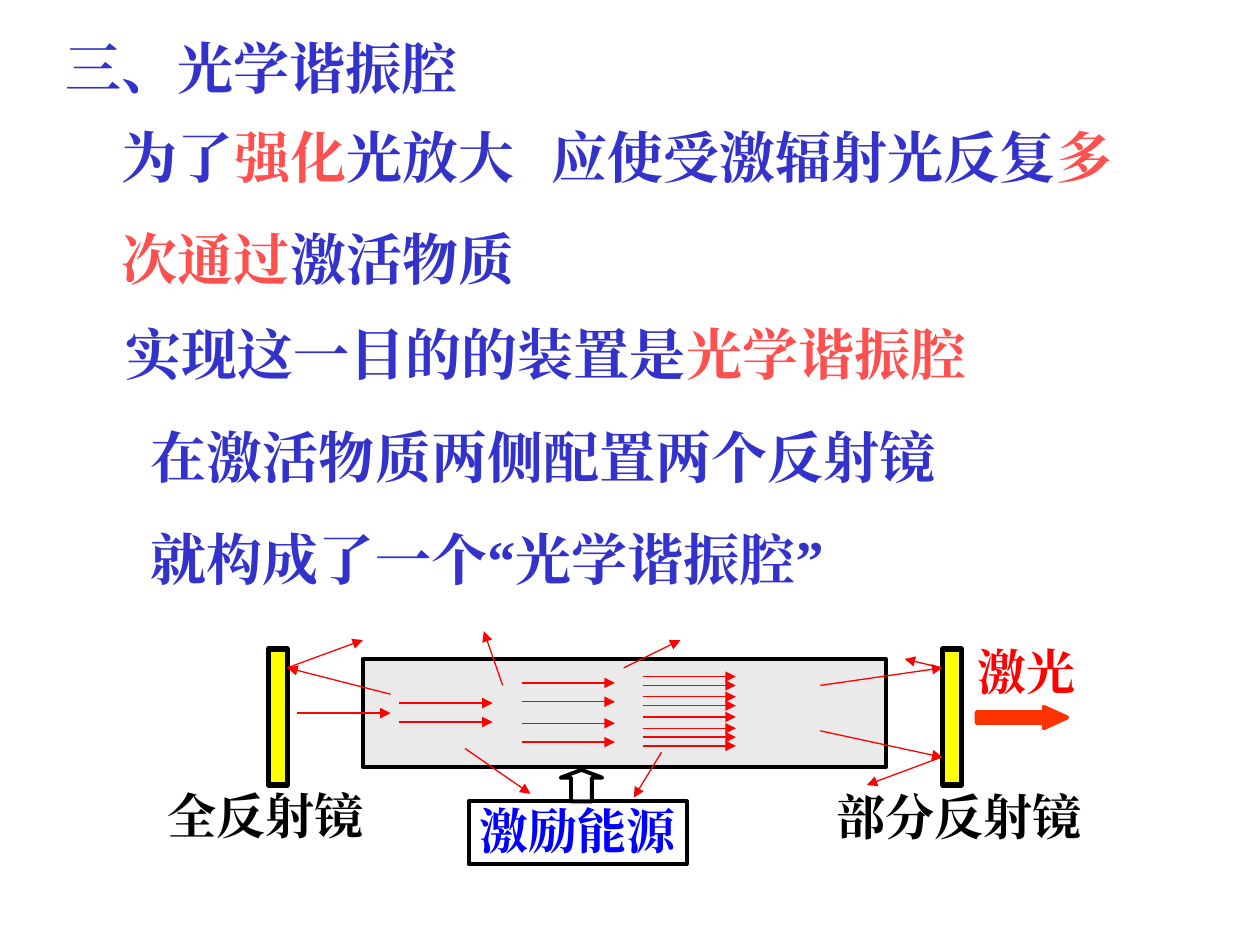
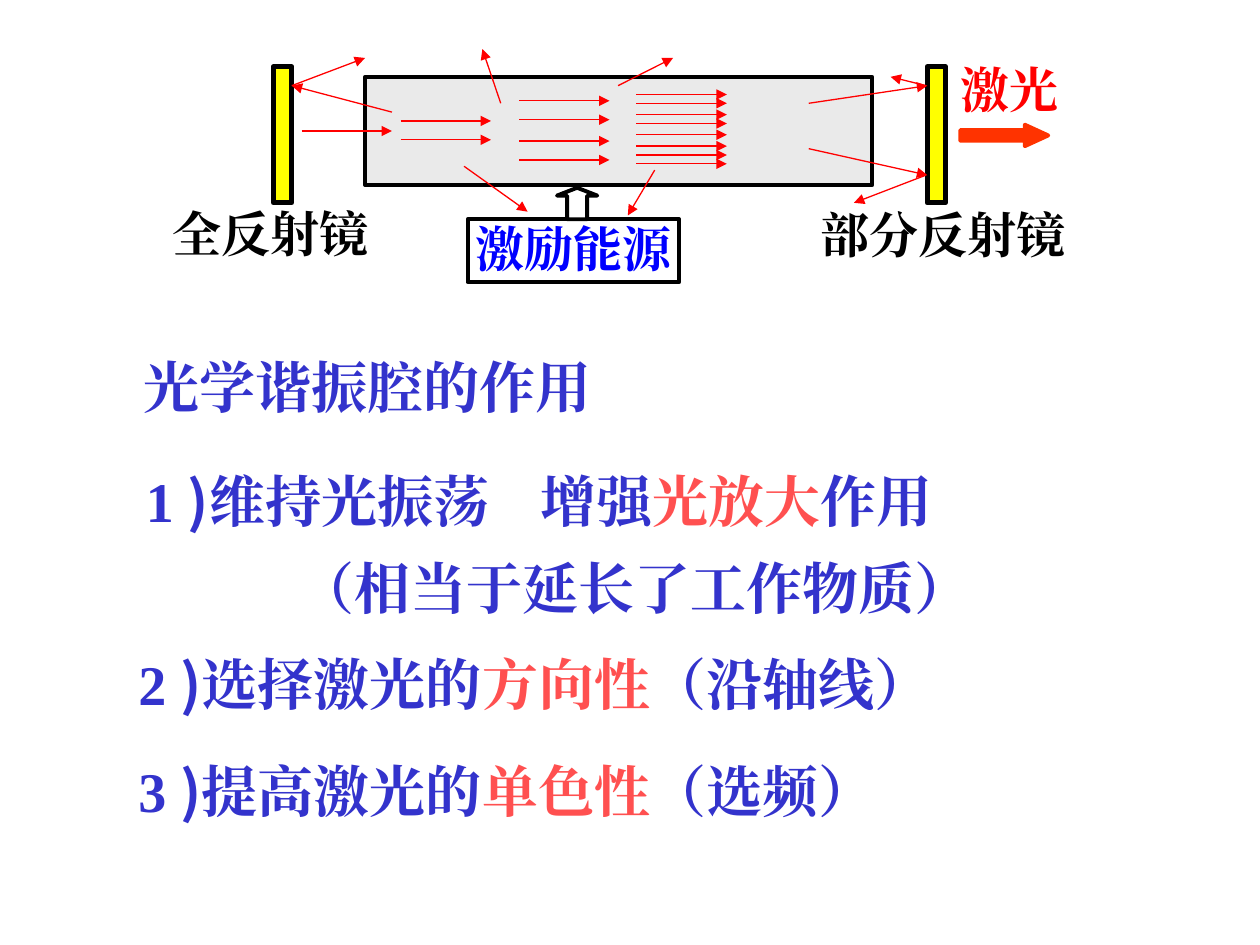
from dataclasses import dataclass, field
from lxml.etree import SubElement
from pptx import Presentation
from pptx.dml.color import RGBColor
from pptx.enum.shapes import MSO_CONNECTOR, MSO_SHAPE
from pptx.enum.text import MSO_ANCHOR, PP_ALIGN
from pptx.oxml.ns import qn
from pptx.util import Inches, Pt

COLS, ROWS = 100, 75
SERIF, SANS = "Times New Roman", "Noto Sans CJK SC"


@dataclass
class Theme:
    text: dict = field(default_factory=lambda: {
        "body": ("3333CC", 32, SERIF),
        "hot": ("FF5050", 32, SERIF),
        "mark": ("3333CC", 32, SANS),
        "plain": ("000000", 28, SERIF),
        "pump": ("0000FF", 28, SERIF),
        "laser": ("FF0000", 28, SERIF),
    })
    shape: dict = field(default_factory=lambda: {
        "mirror": ("FFFF00", "000000", 3),
        "rod": ("EAEAEA", "000000", 2.25),
        "frame": (None, "000000", 2.25),
        "lift": ("FFFFFF", "000000", 2.25),
        "beam": ("FF3300", "FF3300", 2.25),
    })
    ray: tuple = ("FF0000", 0.75)


def put(item, values):
    for name, value in values.items():
        setattr(item, name, value)


class Deck:
    def __init__(self, theme):
        self.theme = theme
        self.prs = Presentation()
        put(self.prs, {"slide_width": Inches(10), "slide_height": Inches(7.5)})

    def page(self):
        self.slide = self.prs.slides.add_slide(self.prs.slide_layouts[6])
        self.pen = self.slide.shapes

    def group(self):
        self.pen = self.slide.shapes.add_group_shape().shapes

    def close(self):
        self.pen = self.slide.shapes

    def x(self, col):
        return int(self.prs.slide_width * col / COLS)

    def y(self, row):
        return int(self.prs.slide_height * row / ROWS)

    def area(self, left, top, width, height):
        return self.x(left), self.y(top), self.x(width), self.y(height)

    def stroke(self, line, color, width):
        line.color.rgb = RGBColor.from_string(color)
        line.width = Pt(width)

    def text(self, area, lines, wrap=True, anchor=MSO_ANCHOR.TOP, **form):
        frame = self.pen.add_textbox(*self.area(*area)).text_frame
        put(frame, {"word_wrap": wrap, "vertical_anchor": anchor})
        for n, (runs, indent, tab) in enumerate(lines):
            para = frame.add_paragraph() if n else frame.paragraphs[0]
            props = para._p.get_or_add_pPr()
            if indent:
                props.set("marL", str(self.x(indent)))
                props.set("indent", "0")
            if tab:
                tabs = SubElement(props, qn("a:tabLst"))
                SubElement(tabs, qn("a:tab"), pos=str(self.x(tab)), algn="l")
            put(para, {k: v for k, v in form.items() if n or k != "space_before"})
            for words, kind in runs:
                self.run(para, words, kind)

    def run(self, para, words, kind):
        color, size, face = self.theme.text[kind]
        run = para.add_run()
        run.text = words
        put(run.font, {"name": face, "size": Pt(size), "bold": True})
        run.font.color.rgb = RGBColor.from_string(color)
        SubElement(run._r.get_or_add_rPr(), qn("a:ea"), typeface=face)

    def label(self, mid, top, words, kind):
        wide = 3.9 * len(words) + 2
        self.text((mid - wide / 2, top, wide, 5.7), [([(words, kind)], 0, 0)],
                  wrap=False, anchor=MSO_ANCHOR.MIDDLE, alignment=PP_ALIGN.CENTER)

    def shape(self, area, kind, form=MSO_SHAPE.RECTANGLE, bends=()):
        fill, edge, width = self.theme.shape[kind]
        item = self.pen.add_shape(form, *self.area(*area))
        item.shadow.inherit = False
        for n, bend in enumerate(bends):
            item.adjustments[n] = bend
        if fill:
            item.fill.solid()
            item.fill.fore_color.rgb = RGBColor.from_string(fill)
        else:
            item.fill.background()
        self.stroke(item.line, edge, width)

    def ray(self, x1, y1, x2, y2):
        item = self.pen.add_connector(MSO_CONNECTOR.STRAIGHT, self.x(x1),
                                      self.y(y1), self.x(x2), self.y(y2))
        self.stroke(item.line, *self.theme.ray)
        SubElement(item.line._get_or_add_ln(), qn("a:tailEnd"), type="triangle")
        SubElement(item._element.spPr, qn("a:effectLst"))


BEAMS = {
    2.3: [5.1],
    10.4: [4.3, 5.8],
    20.1: [2.7, 4.2, 5.9, 7.4],
    29.7: [2.2, 2.9, 3.8, 4.5, 5.4, 6.3, 7, 7.7],
}
STRAYS = [
    (9.7, 3.6, 1.5, 1.5), (1.5, 1.5, 7.5, -0.7),
    (18.6, 2.9, 17.1, -1.4), (15.6, 7.9, 20.8, 11.5),
    (28.2, 1.5, 32.7, -0.7), (31.2, 8.2, 29, 11.8),
    (43.8, 2.9, 53.5, 1.5), (53.4, 1.5, 50.5, 0.8),
    (43.8, 6.5, 53.5, 8.6), (53.4, 8.6, 47.5, 10.8),
]
PARTS = [
    ((15.9, 12.1, 17.3, 5), "frame"),
    ((23.2, 9.6, 3.3, 2.5), "lift", MSO_SHAPE.UP_ARROW, (0.5, 0.25)),
    ((56.2, 4.6, 7.2, 1.7), "beam", MSO_SHAPE.RIGHT_ARROW, (0.5, 1.09)),
]
LABELS = [
    (24.55, 11.5, "激励能源", "pump"),
    (-0.25, 10.3, "全反射镜", "plain"),
    (54.8, 10.4, "部分反射镜", "plain"),
    (60.2, -1.1, "激光", "laser"),
]


def cavity(deck, left, top, scale=1.0):
    def fit(x, y, w, h):
        return left + x * scale, top + y, w * scale, h

    def shoot(x1, y1, x2, y2):
        deck.ray(left + x1 * scale, top + y1, left + x2 * scale, top + y2)

    deck.group()
    for x in (0, 53.5):
        deck.shape(fit(x, 0, 1.5, 10.8), "mirror")
    deck.shape(fit(7.5, 0.8, 41.5, 8.6), "rod")
    for x, rows in BEAMS.items():
        for y in rows:
            shoot(x, y, x + 7.4, y)
    for ends in STRAYS:
        shoot(*ends)
    for area, *look in PARTS:
        deck.shape(fit(*area), *look)
    for mid, y, words, kind in LABELS:
        deck.label(left + mid * scale, top + y, words, kind)
    deck.close()


def intro(deck):
    deck.page()
    deck.text((4.2, 2.2, 43.5, 6.4), [([("三、光学谐振腔", "body")], 0, 0)])
    cavity(deck, 21.3, 51.5)
    deck.text((8.7, 9.2, 85.4, 19.8), [
        ([("为了", "body"), ("强化", "hot"),
          ("光放大\t应使受激辐射光反复", "body"), ("多", "hot")], 0, 34.1),
        ([("次通过", "hot"), ("激活物质", "body")], 0, 0),
    ], space_before=Pt(20))
    deck.text((9, 24.9, 87.4, 22.6), [
        ([("实现这一目的的装置是", "body"), ("光学谐振腔", "hot")], 0, 0),
        ([("在激活物质两侧配置两个反射镜", "body")], 2, 0),
        ([("就构成了一个“光学谐振腔”", "body")], 2, 0),
    ], space_before=Pt(20))


def point(mark, lead, key, rest):
    return [(mark + " ", "body"), (")", "mark"), (lead, "body"),
            (key, "hot"), (rest, "body")]


def role(deck):
    deck.page()
    deck.text((10, 51.1, 66.9, 6.4),
              [(point("2", "选择激光的", "方向性", "（沿轴线）"), 0, 0)])
    deck.text((10.6, 34.9, 74, 21.8), [
        (point("1", "维持光振荡\t增强", "光放大", "作用"), 0, 31.3),
        ([("（相当于延长了工作物质）", "body")], 12.1, 0),
    ], line_spacing=1.3)
    deck.text((10, 59, 62.5, 6.9),
              [(point("3", "提高激光的", "单色性", "（选频）"), 0, 0)],
              line_spacing=1.1)
    cavity(deck, 21.7, 5.3, 0.97)
    deck.text((10.4, 27.5, 49.7, 6.4), [([("光学谐振腔的作用", "body")], 0, 0)])


def main():
    deck = Deck(Theme())
    intro(deck)
    role(deck)
    deck.prs.save("out.pptx")


if __name__ == "__main__":
    main()
